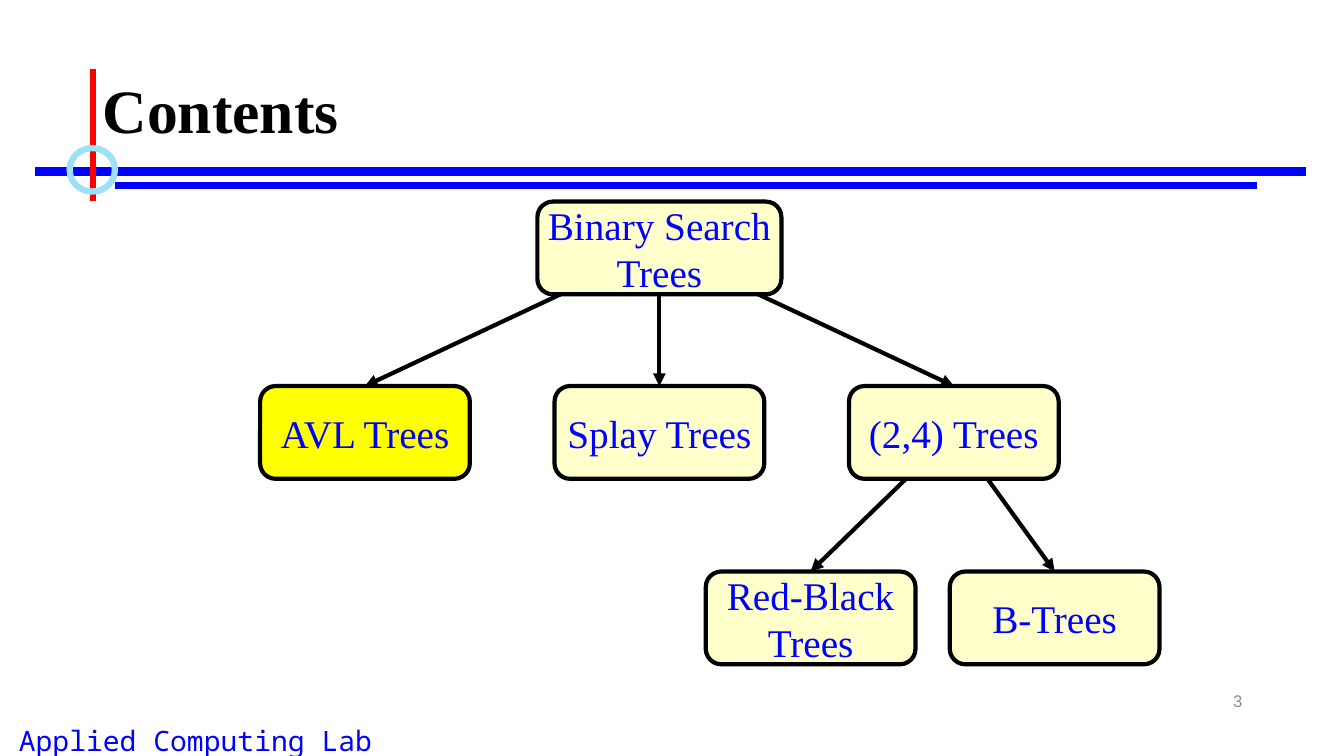
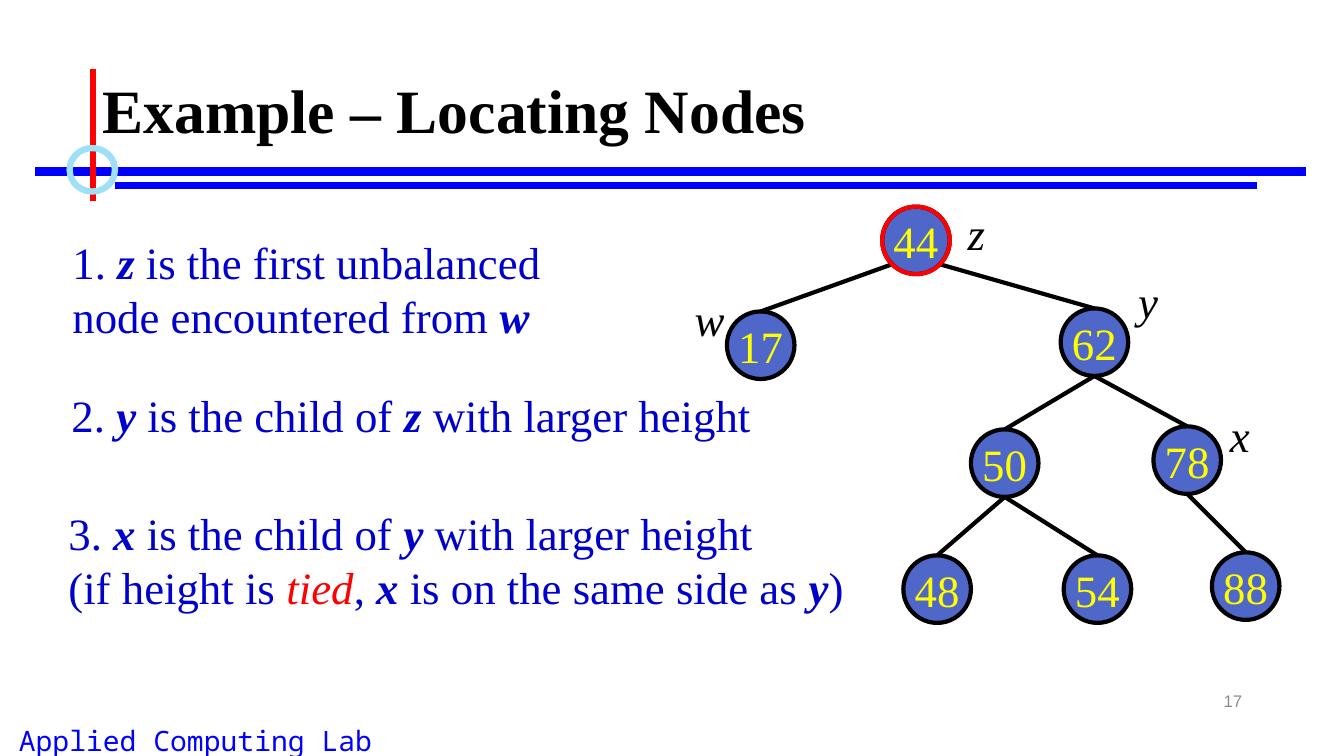
from lxml import etree
from pptx import Presentation
from pptx.dml.color import RGBColor
from pptx.enum import shapes as kinds, text as txt
from pptx.oxml.ns import qn
from pptx.util import Inches, Pt

SERIF, SANS, MONO = "Times New Roman", "Arial", "Noto Sans Mono"
BLACK, BLUE, RED, GREY = "000000", "0000FF", "FF0000", "8C8C8C"
NOTE_BLUE, RING_BLUE, NODE_BLUE = "0000CC", "9EE0F8", "4E67C8"
CREAM, YELLOW = "FFFFCC", "FFFF00"

FOOTER = "Applied Computing Lab"
# start x, start y, end x, end y, colour, width
RULES = [
    (0.35, 1.7, 12.95, 1.7, BLUE, 6),
    (1.14, 1.84, 12.47, 1.84, BLUE, 4.5),
    (0.92, 0.68, 0.92, 1.99, RED, 4.5),
]

TOPIC_WIDTH, TOPIC_HEIGHT = 2.08, 0.92
# topic: left, top, width, fill, parent
TOPICS = {
    "Binary Search\nTrees": (5.33, 2, 2.42, CREAM, None),
    "AVL Trees": (2.58, 3.83, TOPIC_WIDTH, YELLOW, "Binary Search\nTrees"),
    "Splay Trees": (5.5, 3.83, TOPIC_WIDTH, CREAM, "Binary Search\nTrees"),
    "(2,4) Trees": (8.42, 3.83, TOPIC_WIDTH, CREAM, "Binary Search\nTrees"),
    "Red-Black\nTrees": (7, 5.67, TOPIC_WIDTH, CREAM, "(2,4) Trees"),
    "B-Trees": (9.42, 5.67, TOPIC_WIDTH, CREAM, "(2,4) Trees"),
}

NODE_SIZE = 0.67
# key: left, top, parent
NODES = {
    44: (8.75, 2.05, None),
    17: (7.21, 3.09, 44),
    62: (10.52, 3.06, 44),
    50: (9.63, 4.26, 62),
    78: (11.44, 4.23, 62),
    48: (8.96, 5.51, 50),
    54: (10.55, 5.51, 50),
    88: (12.02, 5.48, 78),
}
UNBALANCED = 44
NODE_NAMES = [("z", 9.5, 1.99), ("w", 6.79, 2.84), ("y", 11.19, 2.67), ("x", 12.1, 4)]

W, X, Y, Z = (({"bold": True, "italic": True}, name) for name in "wxyz")
TIED = ({"italic": True, "color": RED}, "tied")
# left, top, width, height, lines of plain or styled pieces
NOTES = [
    (0.62, 2.28, 5.03, 1.18, [
        ["1. ", Z, " is the first unbalanced"],
        ["node encountered from ", W]]),
    (0.61, 3.8, 7.08, 0.64, [
        ["2. ", Y, " is the child of ", Z, " with larger height"]]),
    (0.58, 4.97, 9.55, 1.18, [
        ["3. ", X, " is the child of ", Y, " with larger height"],
        ["(if height is ", TIED, ", ", X, " is on the same side as ", Y, ")"]]),
]


def rgb(color):
    return RGBColor.from_string(color)


def style(font, size, color, name=SERIF, bold=False, italic=False):
    font.size, font.name, font.bold, font.italic = Pt(size), name, bold, italic
    font.color.rgb = rgb(color)


def write(shape, words, size, color, align=txt.PP_ALIGN.LEFT, anchor=txt.MSO_ANCHOR.TOP,
          wrap=True, **look):
    frame = shape.text_frame
    frame.text = words
    frame.word_wrap, frame.vertical_anchor = wrap, anchor
    for paragraph in frame.paragraphs:
        paragraph.alignment = align
        for run in paragraph.runs:
            style(run.font, size, color, **look)
    return frame


def add_label(slide, place, words, size, color, **look):
    box = slide.shapes.add_textbox(*map(Inches, place))
    return write(box, words, size, color, **look)


def add_outline(slide, kind, place, fill=None, line=BLACK, weight=3):
    shape = slide.shapes.add_shape(kind, *map(Inches, place))
    shape.shadow.inherit = False
    if fill:
        shape.fill.solid()
        shape.fill.fore_color.rgb = rgb(fill)
    else:
        shape.fill.background()
    shape.line.color.rgb = rgb(line)
    shape.line.width = Pt(weight)
    return shape


def add_line(slide, start, end, color=BLACK, weight=3, arrow=False):
    line = slide.shapes.add_connector(
        kinds.MSO_CONNECTOR.STRAIGHT, *map(Inches, (*start, *end)))
    line.line.color.rgb = rgb(color)
    line.line.width = Pt(weight)
    if arrow:
        etree.SubElement(line.line._get_or_add_ln(), qn("a:tailEnd"), type="triangle")
    etree.SubElement(line._element.spPr, qn("a:effectLst"))
    return line


def add_page(deck, title, number):
    """Add a slide with the shared rules, footer, title and number."""
    slide = deck.slides.add_slide(deck.slide_layouts[6])
    add_label(slide, (0, 7.13, 3.88, 0.37), FOOTER, 20, BLUE,
              align=txt.PP_ALIGN.CENTER, name=MONO)
    for x1, y1, x2, y2, color, weight in RULES:
        add_line(slide, (x1, y1), (x2, y2), color, weight)
    add_outline(slide, kinds.MSO_SHAPE.OVAL, (0.69, 1.47, 0.45, 0.43),
                line=RING_BLUE, weight=4.5)
    add_label(slide, (9.42, 6.75, 3, 0.4), number, 12, GREY, name=SANS,
              align=txt.PP_ALIGN.RIGHT, anchor=txt.MSO_ANCHOR.MIDDLE)
    heading = add_label(slide, (0.92, 0.4, 11.5, 1.45), title, 44, BLACK,
                        anchor=txt.MSO_ANCHOR.MIDDLE, bold=True)
    heading.paragraphs[0].line_spacing = 0.9
    return slide


def add_topics(slide):
    boxes = {}
    for topic, (left, top, width, fill, _) in TOPICS.items():
        box = add_outline(slide, kinds.MSO_SHAPE.ROUNDED_RECTANGLE,
                          (left, top, width, TOPIC_HEIGHT), fill)
        write(box, topic, 28, BLUE, txt.PP_ALIGN.CENTER, txt.MSO_ANCHOR.MIDDLE, wrap=False)
        boxes[topic] = box
    root = next(iter(boxes.values()))
    for topic, (left, top, _, _, parent) in TOPICS.items():
        if parent:
            parent_left, parent_top, parent_width = TOPICS[parent][:3]
            center = (parent_left + parent_width / 2, parent_top + TOPIC_HEIGHT / 2)
            arrow = add_line(slide, center, (left, top), arrow=True)
            arrow.end_connect(boxes[topic], 0)
            root._element.addprevious(arrow._element)  # arrows run behind the boxes


def branch_start(key, child_left):
    """Point where a branch leaves a node: diagonal at the root, else the bottom."""
    left, top, parent = NODES[key]
    radius = NODE_SIZE / 2
    x, y = left + radius, top + radius
    if parent:
        return x, y + radius
    diagonal = radius * 0.5 ** 0.5
    return (x - diagonal if child_left < left else x + diagonal), y + diagonal


def add_tree(slide):
    for key, (left, top, parent) in NODES.items():
        node = add_outline(slide, kinds.MSO_SHAPE.OVAL,
                           (left, top, NODE_SIZE, NODE_SIZE), NODE_BLUE)
        write(node, str(key), 32, YELLOW, txt.PP_ALIGN.CENTER, txt.MSO_ANCHOR.MIDDLE,
              wrap=False)
        if parent:
            branch = add_line(slide, branch_start(parent, left), (left, top))
            branch.end_connect(node, 0)
    add_outline(slide, kinds.MSO_SHAPE.OVAL,
                (*NODES[UNBALANCED][:2], NODE_SIZE, NODE_SIZE), line=RED)
    for name, left, top in NODE_NAMES:
        add_label(slide, (left, top, 0.4, 0.63), name, 32, BLACK, italic=True)


def add_notes(slide):
    for *place, lines in NOTES:
        frame = add_label(slide, place, "", 32, NOTE_BLUE)
        for index, pieces in enumerate(lines):
            paragraph = frame.add_paragraph() if index else frame.paragraphs[0]
            for piece in pieces:
                look, words = ({}, piece) if isinstance(piece, str) else piece
                run = paragraph.add_run()
                run.text = words
                style(run.font, 32, **{"color": NOTE_BLUE, **look})


def main():
    deck = Presentation()
    deck.slide_width, deck.slide_height = Inches(13.33), Inches(7.5)
    add_topics(add_page(deck, "Contents", "3"))
    example = add_page(deck, "Example – Locating Nodes", "17")
    add_tree(example)
    add_notes(example)
    deck.save("out.pptx")


if __name__ == "__main__":
    main()
